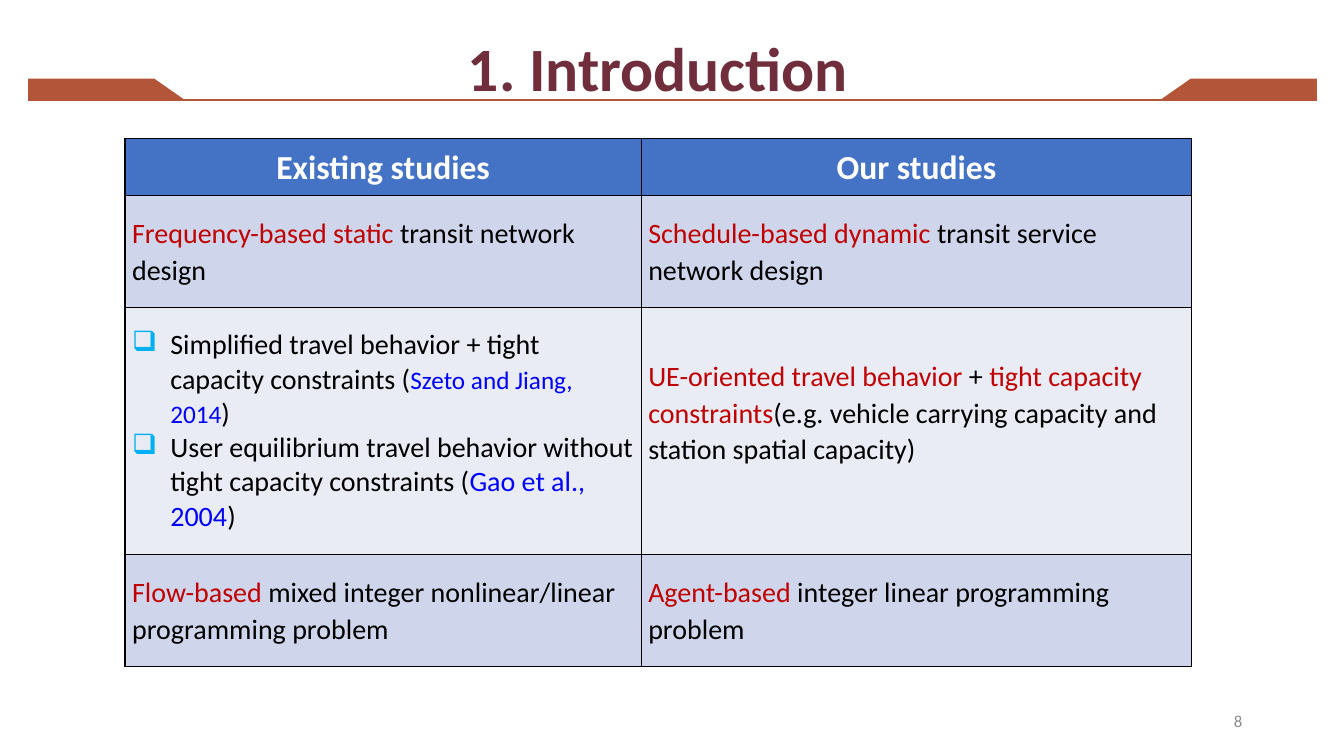
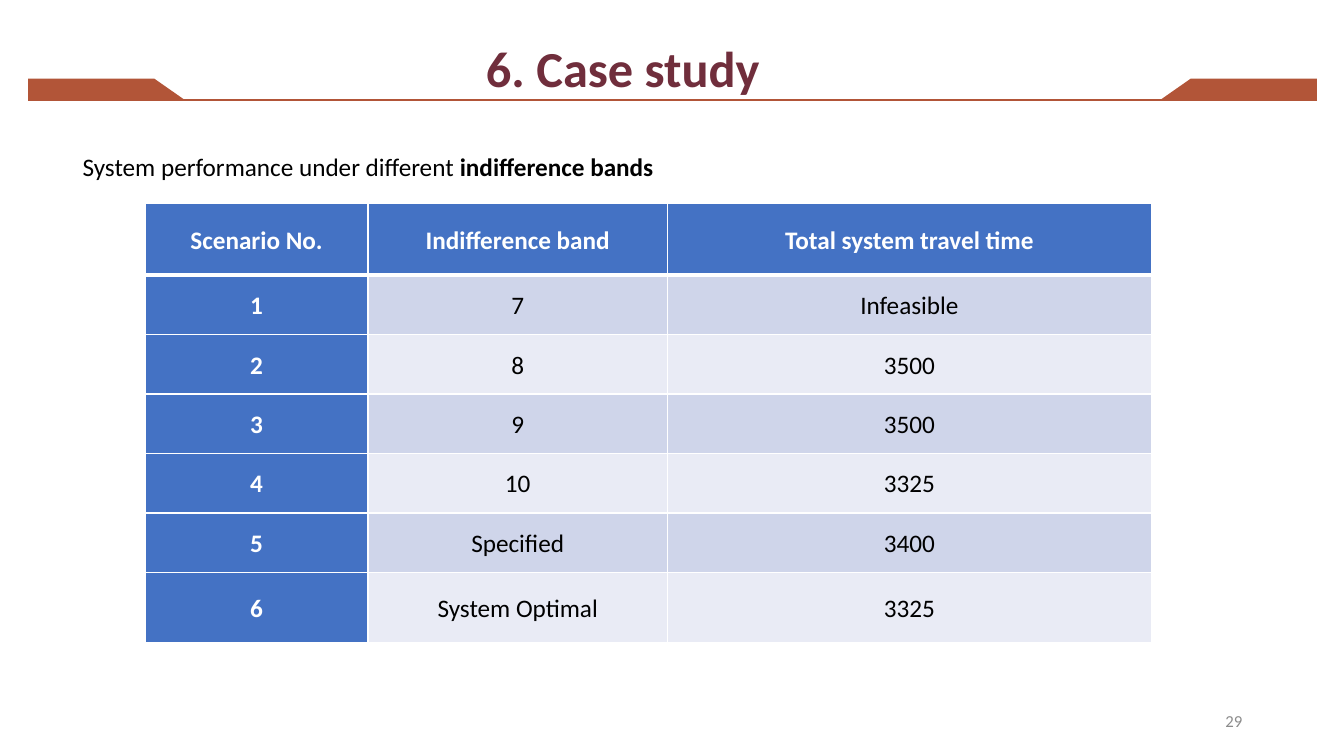
from lxml import etree
from pptx import Presentation
from pptx.dml.color import RGBColor
from pptx.enum.shapes import MSO_CONNECTOR
from pptx.enum.text import MSO_ANCHOR, MSO_AUTO_SIZE, PP_ALIGN
from pptx.oxml.ns import qn
from pptx.util import Inches, Pt

FONT = "Calibri"
BLACK, WHITE, GRAY = "000000", "FFFFFF", "8C8C8C"
MAROON, RUST = "702E3C", "B25538"
RED, CITATION, BULLET = "C00000", "0000FF", "00B0F0"
HEADER, DARK_ROW, LIGHT_ROW = "4472C4", "CFD5EA", "E9EBF5"
TITLE_ONLY = 5


def rgb(color):
    return RGBColor.from_string(color)


def add_bullet(paragraph, symbol="❑", indent=0.38):
    props = paragraph._p.get_or_add_pPr()
    props.set("marL", str(Inches(indent)))
    props.set("indent", str(-Inches(indent)))
    color = etree.SubElement(props, qn("a:buClr"))
    etree.SubElement(color, qn("a:srgbClr"), val=BULLET)
    etree.SubElement(props, qn("a:buChar"), char=symbol)


def write(frame, paragraphs, size=18, color=BLACK, bold=False,
          align=PP_ALIGN.LEFT, spacing=None, bullets=False):
    """Fill a frame; a paragraph is a list of runs, each a string or (string, format)."""
    for index, runs in enumerate(paragraphs):
        paragraph = frame.add_paragraph() if index else frame.paragraphs[0]
        paragraph.alignment = align
        if spacing:
            paragraph.line_spacing = spacing
        if bullets:
            add_bullet(paragraph)
        for part in runs:
            words, changes = (part, {}) if isinstance(part, str) else part
            style = {"size": size, "color": color, "bold": bold} | changes
            run = paragraph.add_run()
            run.text = words
            run.font.name = FONT
            run.font.size = Pt(style["size"])
            run.font.bold = style["bold"]
            run.font.color.rgb = rgb(style["color"])


def set_borders(cell, color, **widths):
    """Draw cell edges; widths in points are keyed L, R, T and B."""
    props = cell._tc.get_or_add_tcPr()
    for edge in "LRTB":
        line = etree.SubElement(props, qn(f"a:ln{edge}"), w=str(Pt(widths.get(edge, 1))))
        fill = etree.SubElement(line, qn("a:solidFill"))
        etree.SubElement(fill, qn("a:srgbClr"), val=color)


def red(words):
    return words, {"color": RED}


class Deck:
    def __init__(self):
        self.presentation = Presentation()
        self.presentation.slide_width = Inches(13.33)
        self.presentation.slide_height = Inches(7.5)
        self.slide = None

    def add_slide(self, title, number, left, top, width, height, size):
        layout = self.presentation.slide_layouts[TITLE_ONLY]
        self.slide = self.presentation.slides.add_slide(layout)
        self.add_title_band()
        heading = self.slide.shapes.title
        heading.left, heading.top = Inches(left), Inches(top)
        heading.width, heading.height = Inches(width), Inches(height)
        frame = heading.text_frame
        frame.auto_size = MSO_AUTO_SIZE.NONE
        frame.vertical_anchor = MSO_ANCHOR.TOP
        write(frame, [[title]], size=size, color=MAROON, bold=True)
        self.add_text([[number]], 9.42, 6.95, 3, 0.4, anchor=MSO_ANCHOR.MIDDLE,
                      size=12, color=GRAY, align=PP_ALIGN.RIGHT)

    def add_title_band(self, left=0.28, right=13.06, top=0.78, bottom=0.99):
        rule = self.slide.shapes.add_connector(
            MSO_CONNECTOR.STRAIGHT, Inches(left), Inches(bottom), Inches(right), Inches(bottom))
        rule.line.color.rgb = rgb(RUST)
        rule.line.width = Pt(1.5)
        etree.SubElement(rule._element.spPr, qn("a:effectLst"))
        for outer, inward in ((left, 1), (right, -1)):
            corners = [(outer, top), (outer + inward * 1.25, top),
                       (outer + inward * 1.55, bottom), (outer, bottom)]
            points = [(Inches(x), Inches(y)) for x, y in corners]
            builder = self.slide.shapes.build_freeform(*points[0])
            builder.add_line_segments(points[1:], close=True)
            wedge = builder.convert_to_shape()
            wedge.shadow.inherit = False
            wedge.fill.solid()
            wedge.fill.fore_color.rgb = rgb(RUST)
            wedge.line.fill.background()

    def add_text(self, paragraphs, left, top, width, height,
                 anchor=MSO_ANCHOR.TOP, **style):
        box = self.slide.shapes.add_textbox(
            Inches(left), Inches(top), Inches(width), Inches(height))
        box.text_frame.word_wrap = True
        box.text_frame.vertical_anchor = anchor
        write(box.text_frame, paragraphs, **style)

    def add_table(self, left, top, columns, rows):
        table = self.slide.shapes.add_table(
            len(rows), len(columns), Inches(left), Inches(top),
            Inches(sum(columns)), Inches(sum(rows))).table
        for column, width in zip(table.columns, columns):
            column.width = Inches(width)
        for row, height in zip(table.rows, rows):
            row.height = Inches(height)
        return table

    def fill_cell(self, cell, paragraphs, fill, border, edges=None, **style):
        set_borders(cell, border, **(edges or {}))
        cell.fill.solid()
        cell.fill.fore_color.rgb = rgb(fill)
        cell.vertical_anchor = MSO_ANCHOR.MIDDLE
        cell.margin_left = cell.margin_right = Inches(0.07)
        cell.margin_top = cell.margin_bottom = 0
        write(cell.text_frame, paragraphs, **style)


def row_fill(row):
    return DARK_ROW if row % 2 else LIGHT_ROW


def add_introduction(deck):
    deck.add_slide("1. Introduction", "8", 4.54, 0.25, 4.96, 0.84, size=44)
    existing_behavior = [
        ["Simplified travel behavior + tight capacity constraints (",
         ("Szeto and Jiang, 2014", {"size": 18, "color": CITATION}), ")"],
        ["User equilibrium travel behavior without tight capacity constraints (",
         ("Gao et al., 2004", {"color": CITATION}), ")"],
    ]
    our_behavior = [[
        red("UE-oriented travel behavior "), "+ ", red("tight capacity constraints"),
        "(e.g. vehicle carrying capacity and station spatial capacity)"]]
    comparison = [
        ([["Existing studies"]], [["Our studies"]]),
        ([[red("Frequency-based static "), "transit network design"]],
         [[red("Schedule-based dynamic "), "transit service network design"]]),
        (existing_behavior, our_behavior),
        ([[red("Flow-based "), "mixed integer nonlinear/linear programming problem"]],
         [[red("Agent-based"), " integer linear programming problem"]]),
    ]
    table = deck.add_table(1.24, 1.37, [5.12, 5.46], [0.57, 1.11, 2.45, 1.11])
    for r, row in enumerate(comparison):
        for c, paragraphs in enumerate(row):
            listed = paragraphs is existing_behavior
            style = {"size": 20, "bullets": listed, "spacing": None if listed else 1.07}
            if r == 0:
                style |= {"size": 24, "color": WHITE, "bold": True, "align": PP_ALIGN.CENTER}
            deck.fill_cell(table.cell(r, c), paragraphs,
                           row_fill(r) if r else HEADER, BLACK, **style)
    table.cell(2, 1).margin_bottom = Inches(0.37)


def add_case_study(deck):
    deck.add_slide("6. Case study", "29", 4.72, 0.32, 5.54, 0.71, size=36)
    deck.add_text([["System performance under different ",
                    ("indifference bands", {"bold": True})]], 0.72, 1.45, 5.89, 0.4)
    scenarios = [
        ("Scenario No.", "Indifference band", "Total system travel time"),
        ("1", "7", "Infeasible"),
        ("2", "8", "3500"),
        ("3", "9", "3500"),
        ("4", "10", "3325"),
        ("5", "Specified", "3400"),
        ("6", "System Optimal", "3325"),
    ]
    table = deck.add_table(1.44, 2.02, [2.21, 2.97, 4.8], [0.71] + [0.59] * 5 + [0.7])
    header_rule = {0: {"B": 3}, 1: {"T": 3}}
    for r, row in enumerate(scenarios):
        for c, value in enumerate(row):
            heading = r == 0 or c == 0
            deck.fill_cell(table.cell(r, c), [[value]],
                           HEADER if heading else row_fill(r), WHITE,
                           edges=header_rule.get(r), bold=heading,
                           color=WHITE if heading else BLACK,
                           align=PP_ALIGN.CENTER, spacing=1.07)


def main():
    deck = Deck()
    add_introduction(deck)
    add_case_study(deck)
    deck.presentation.save("out.pptx")


if __name__ == "__main__":
    main()
